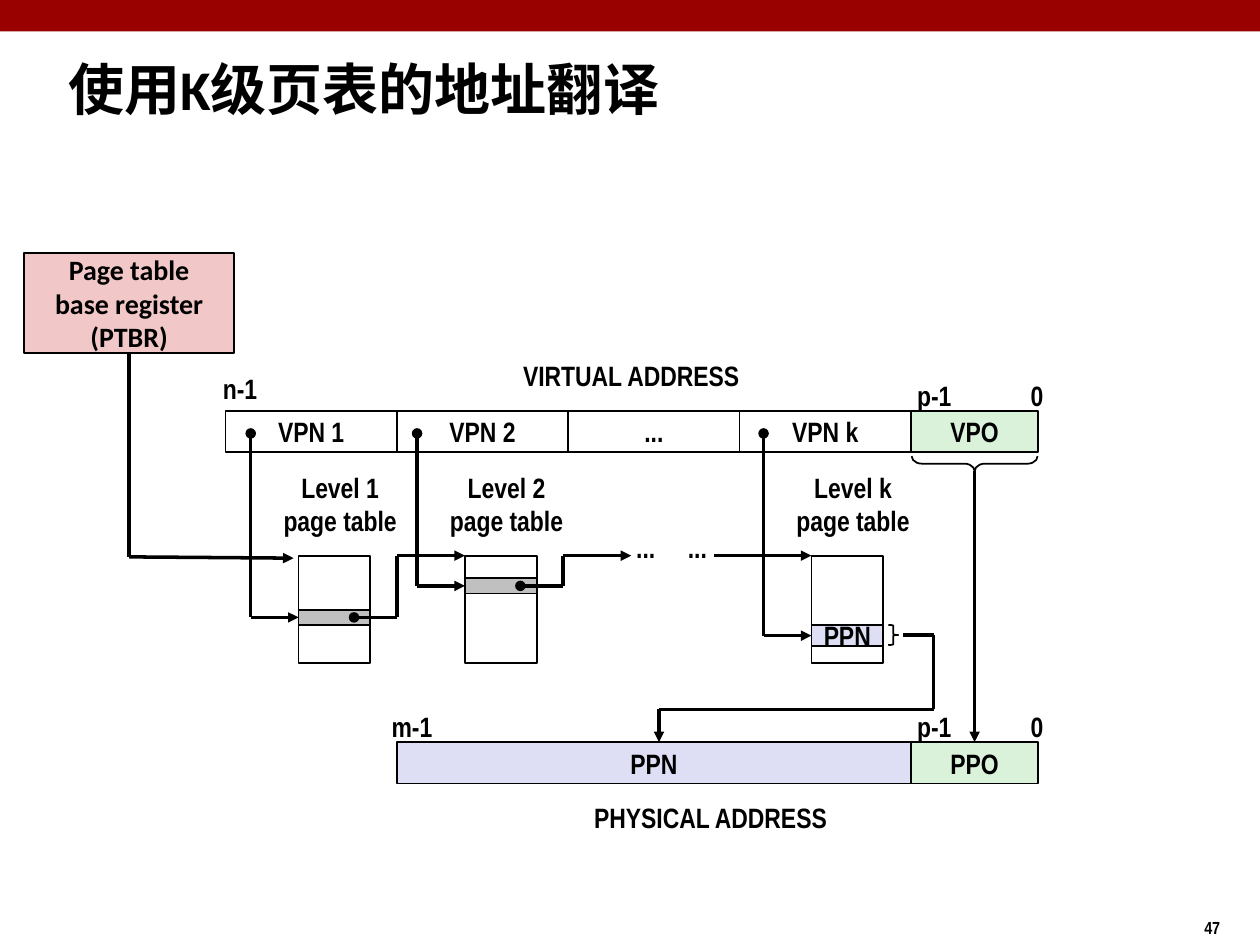
from dataclasses import dataclass
from typing import NamedTuple, Optional

from lxml import etree
from pptx import Presentation
from pptx.dml.color import RGBColor
from pptx.enum.shapes import MSO_CONNECTOR, MSO_SHAPE
from pptx.enum.text import MSO_ANCHOR, MSO_AUTO_SIZE, PP_ALIGN
from pptx.oxml.ns import qn
from pptx.util import Inches, Pt

RECTANGLE, RIGHT_BRACE = MSO_SHAPE.RECTANGLE, MSO_SHAPE.RIGHT_BRACE
STRAIGHT = MSO_CONNECTOR.STRAIGHT
MIDDLE, NO_AUTO_SIZE = MSO_ANCHOR.MIDDLE, MSO_AUTO_SIZE.NONE
LEFT, CENTER = PP_ALIGN.LEFT, PP_ALIGN.CENTER
TOP_SIDE, LEFT_SIDE, BOTTOM_SIDE = 0, 1, 2

# The slide is a grid of 100 columns by 75 rows with square cells.
COLUMNS, ROWS = 100, 75
CELL = Inches(0.1)


@dataclass(frozen=True)
class Theme:
    black: str = "000000"
    banner: str = "990000"
    register: str = "F1C7C7"
    offset: str = "DBF2DA"
    page_number: str = "DEDFF5"
    entry: str = "C0C0C0"
    heading_font: str = "Calibri"
    label_font: str = "Arial Narrow"
    title_size: int = 32
    label_size: int = 16
    folio_size: int = 10
    outline: float = 1
    wire: float = 2


THEME = Theme()


class Point(NamedTuple):
    column: float
    row: float


class Box(NamedTuple):
    column: float
    row: float
    width: float
    height: float

    @property
    def center(self) -> Point:
        return Point(self.column + self.width / 2, self.row + self.height / 2)

    def lengths(self) -> list:
        return [cells(value) for value in self]


class Label(NamedTuple):
    text: str
    center: float
    row: float
    height: float = 3.7


class Level(NamedTuple):
    name: str
    column: float
    entry_row: float
    entry_height: float
    entry_fill: str
    entry_text: str = ""


FIELD_LEFT, FIELD_WIDTH, FIELD_HEIGHT = 17.9, 13.6, 3.3
OFFSET_LEFT, OFFSET_WIDTH = FIELD_LEFT + 4 * FIELD_WIDTH, 10.1
VIRTUAL_ROW, PHYSICAL_ROW = 32.6, 58.9
TABLE_ROW, TABLE_WIDTH, TABLE_HEIGHT = 44.1, 5.7, 8.5
POINTER_GAP = 3.8

LEVELS = [
    Level("Level 1", 23.7, 48.4, 1.2, THEME.entry),
    Level("Level 2", 36.9, 45.9, 1.2, THEME.entry),
    Level("Level k", 64.4, 49.6, 1.7, THEME.page_number, "PPN"),
]
LABELS = [
    Label("VIRTUAL ADDRESS", 50.1, 27.9),
    Label("PHYSICAL ADDRESS", 56.4, 63),
    Label("n-1", 19.05, 29),
    Label("m-1", 32.7, PHYSICAL_ROW - 3.1),
    Label("...", 51.25, 41.6),
    Label("...", 55.35, 41.6),
]


def cells(count: float) -> int:
    return round(count * CELL)


def write(shape, text: str, size: int = THEME.label_size,
          font: str = THEME.label_font, alignment=CENTER, wrap: bool = False) -> None:
    frame = shape.text_frame
    frame.text = text
    frame.word_wrap = wrap
    frame.auto_size = NO_AUTO_SIZE
    frame.vertical_anchor = MIDDLE
    for paragraph in frame.paragraphs:
        paragraph.alignment = alignment
        paragraph.font.name = font
        paragraph.font.size = Pt(size)
        paragraph.font.bold = True
        paragraph.font.color.rgb = RGBColor.from_string(THEME.black)


def draw_shape(slide, box: Box, fill: Optional[str] = None, text: str = "",
               kind=RECTANGLE, outlined: bool = True):
    shape = slide.shapes.add_shape(kind, *box.lengths())
    shape.shadow.inherit = False
    if fill:
        shape.fill.solid()
        shape.fill.fore_color.rgb = RGBColor.from_string(fill)
    else:
        shape.fill.background()
    if outlined:
        shape.line.color.rgb = RGBColor.from_string(THEME.black)
        shape.line.width = Pt(THEME.outline)
    else:
        shape.line.fill.background()
    if text:
        write(shape, text)
    return shape


def draw_label(slide, label: Label) -> None:
    width = 12
    box = Box(label.center - width / 2, label.row, width, label.height)
    write(slide.shapes.add_textbox(*box.lengths()), label.text)


def draw_route(slide, points: list[Point], dot: bool = False, arrow: bool = True) -> list:
    """Join the points with straight lines, a dot at the start and an arrow at the end."""
    lines = []
    for start, end in zip(points, points[1:]):
        line = slide.shapes.add_connector(STRAIGHT, *map(cells, (*start, *end)))
        line.line.color.rgb = RGBColor.from_string(THEME.black)
        line.line.width = Pt(THEME.wire)
        etree.SubElement(line._element.spPr, qn("a:effectLst"))
        lines.append(line)
    if dot:
        etree.SubElement(lines[0].line._get_or_add_ln(), qn("a:headEnd"), type="oval")
    if arrow:
        etree.SubElement(lines[-1].line._get_or_add_ln(), qn("a:tailEnd"), type="triangle")
    return lines


def draw_level(slide, level: Level) -> Box:
    """Draw one page table with its caption and its index wire; return the entry's box."""
    draw_shape(slide, Box(level.column, TABLE_ROW, TABLE_WIDTH, TABLE_HEIGHT))
    entry = Box(level.column, level.entry_row, TABLE_WIDTH, level.entry_height)
    entry_shape = draw_shape(slide, entry, level.entry_fill, level.entry_text)
    draw_label(slide, Label(f"{level.name}\npage table", level.column + 3.3, 36.8, 6.4))
    pointer = level.column - POINTER_GAP
    wires = draw_route(slide, [Point(pointer, 34.4), Point(pointer, entry.center.row),
                               Point(level.column, entry.center.row)], dot=True)
    wires[-1].end_connect(entry_shape, LEFT_SIDE)
    return entry


def draw_chain(slide, entry: Box) -> None:
    """Lead from a table entry to the top of the next table."""
    turn = entry.column + 7.8
    draw_route(slide, [Point(entry.column + 4.4, entry.center.row),
                       Point(turn, entry.center.row), Point(turn, TABLE_ROW),
                       Point(entry.column + 13.2, TABLE_ROW)], dot=True)


def draw_offset(slide, row: float, text: str):
    for bit, center in (("p-1", 74.15), ("0", 82.3)):
        draw_label(slide, Label(bit, center, row - 3.1))
    box = Box(OFFSET_LEFT, row, OFFSET_WIDTH, FIELD_HEIGHT)
    return draw_shape(slide, box, THEME.offset, text)


def draw_addresses(slide) -> None:
    for index, text in enumerate(("VPN 1", "VPN 2", "...", "VPN k")):
        left = FIELD_LEFT + index * FIELD_WIDTH
        draw_shape(slide, Box(left, VIRTUAL_ROW, FIELD_WIDTH, FIELD_HEIGHT), text=text)
    draw_offset(slide, VIRTUAL_ROW, "VPO")
    draw_shape(slide, Box(FIELD_LEFT + FIELD_WIDTH, PHYSICAL_ROW, 3 * FIELD_WIDTH, FIELD_HEIGHT),
               THEME.page_number, "PPN")
    physical_offset = draw_offset(slide, PHYSICAL_ROW, "PPO")

    middle = OFFSET_LEFT + OFFSET_WIDTH / 2
    brace = draw_shape(slide, Box(middle - 0.6, 31.8, 1.2, 10), kind=RIGHT_BRACE)
    brace.rotation = 90
    brace.adjustments[0] = 0.67
    copy_wire = draw_route(slide, [Point(middle, 37.4), Point(middle, PHYSICAL_ROW)])[0]
    copy_wire.end_connect(physical_offset, TOP_SIDE)


def draw_register(slide) -> None:
    box = Box(1.9, 20.1, 16.7, 7.9)
    register = draw_shape(slide, box, THEME.register)
    write(register, "Page table\vbase register\n(PTBR)", font=THEME.heading_font, wrap=True)
    middle = box.center.column
    wires = draw_route(slide, [Point(middle, box.row + box.height), Point(middle, 44.2),
                               Point(23.3, 44.3)])
    wires[0].begin_connect(register, BOTTOM_SIDE)


def main() -> None:
    presentation = Presentation()
    presentation.slide_width = COLUMNS * CELL
    presentation.slide_height = ROWS * CELL
    slide = presentation.slides.add_slide(presentation.slide_layouts[5])

    draw_shape(slide, Box(0, 0, COLUMNS, 2.5), THEME.banner, outlined=False)
    title = slide.shapes.title
    title.left, title.top, title.width, title.height = Box(4.4, 2.7, 90.6, 8.6).lengths()
    write(title, "使用K级页表的地址翻译", THEME.title_size, THEME.heading_font, LEFT, wrap=True)
    folio = slide.shapes.add_textbox(*Box(94.6, 72.3, 5, 2.7).lengths())
    write(folio, "47", THEME.folio_size, alignment=LEFT, wrap=True)

    draw_register(slide)
    draw_addresses(slide)
    first, second, last = [draw_level(slide, level) for level in LEVELS]
    for entry in (first, second):
        draw_chain(slide, entry)
    draw_route(slide, [Point(56.7, TABLE_ROW), Point(last.column, TABLE_ROW)])

    draw_shape(slide, Box(70.5, last.row, 0.8, 1.6), kind=RIGHT_BRACE)
    draw_route(slide, [Point(71.7, 50.4), Point(74.1, 50.4), Point(74.1, 56.3),
                       Point(52.3, 56.3), Point(52.3, PHYSICAL_ROW)])
    for label in LABELS:
        draw_label(slide, label)
    presentation.save("out.pptx")


if __name__ == "__main__":
    main()
